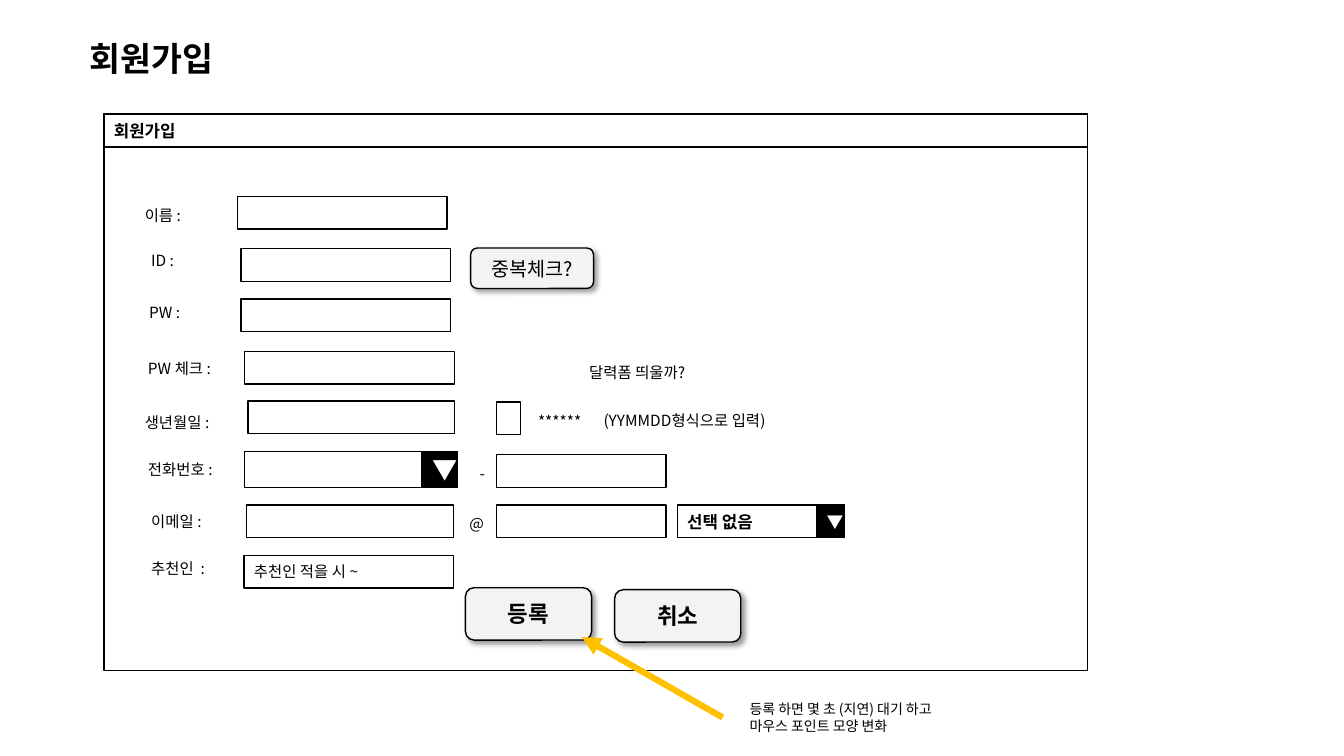
from lxml.etree import SubElement
from pptx import Presentation
from pptx.dml.color import RGBColor
from pptx.enum.shapes import MSO_CONNECTOR, MSO_SHAPE
from pptx.enum.text import MSO_ANCHOR, MSO_AUTO_SIZE, PP_ALIGN
from pptx.oxml.ns import qn
from pptx.util import Cm, Pt

FONT = "Noto Sans CJK KR"
COLORS = {"ink": "000000", "paper": "FFFFFF", "button": "F3F3F3", "arrow": "FFC000"}

# Content: lengths in cm
TITLE = "회원가입"
FIELD_H, LABEL_H, LABEL_W = 0.82, 0.74, 2.67
WINDOW = (2.62, 2.87, 24.79, 14.02)
HEADER_H = 0.84
LABELS = [  # text, left, top
    ("이름 :", 3.4, 5.08),
    ("ID :", 3.56, 6.2),
    ("PW :", 3.51, 7.52),
    ("PW 체크 :", 3.48, 8.92),
    ("생년월일 :", 3.4, 10.29),
    ("전화번호 :", 3.48, 11.46),
    ("이메일 :", 3.56, 12.78),
    ("추천인  :", 3.56, 13.97),
]
INPUTS = [  # text, left, top, width
    ("", 5.99, 4.95, 5.28),
    ("", 6.07, 6.27, 5.28),
    ("", 6.07, 7.54, 5.28),
    ("", 6.17, 8.86, 5.28),
    ("", 6.25, 10.11, 5.21),
    ("", 12.52, 10.13, 0.6),
    ("", 12.52, 11.46, 4.27),
    ("", 6.22, 12.73, 5.21),
    ("", 12.52, 12.73, 4.27),
    ("추천인 적을 시 ~", 6.15, 14.0, 5.28),
]
DROPDOWNS = [  # text, box, arrow cell width, arrow format
    ("", (6.17, 11.38, 5.36, 0.91), 0.89, {"size": 18}),
    ("선택 없음", (17.07, 12.73, 4.22, FIELD_H), 0.71, {"size": 12, "bold": True}),
]
HINTS = [  # text, left, top, width
    ("-", 11.84, 11.56, 0.84),
    ("@", 11.58, 12.83, 0.84),
    ("******", 13.31, 10.26, 1.65),
    ("(YYMMDD형식으로 입력)", 14.96, 10.24, 5.21),
    ("달력폼 띄울까?", 14.6, 9.02, 5.21),
]
BUTTONS = [  # text, box, format
    ("중복체크?", (11.86, 6.25, 3.1, 1.02), {"size": 14}),
    ("등록", (11.73, 14.81, 3.18, 1.32), {"size": 16, "bold": True}),
    ("취소", (15.49, 14.86, 3.18, 1.32), {"size": 16, "bold": True}),
]
NOTE = ["등록 하면 몇 초 (지연) 대기 하고", "마우스 포인트 모양 변화"]
NOTE_BOX = (18.64, 17.53, 5.92, 1.12)
ARROW = (18.21, 18.08, 14.66, 16.05)


def color(name):
    return RGBColor.from_string(COLORS[name])


def write(holder, *lines, size=11, bold=False, ink="ink", align=PP_ALIGN.LEFT,
          anchor=MSO_ANCHOR.TOP):
    frame = holder.text_frame
    frame.auto_size = MSO_AUTO_SIZE.NONE
    frame.word_wrap = True
    frame.vertical_anchor = anchor
    for number, line in enumerate(lines):
        paragraph = frame.add_paragraph() if number else frame.paragraphs[0]
        paragraph.alignment = align
        run = paragraph.add_run()
        run.text = line
        run.font.name = FONT
        run.font.size = Pt(size)
        run.font.bold = bold
        run.font.color.rgb = color(ink)
        SubElement(run.font._element, qn("a:ea"), typeface=FONT)


def add_box(shapes, box, text="", fill="paper", kind=MSO_SHAPE.RECTANGLE, **style):
    shape = shapes.add_shape(kind, *map(Cm, box))
    shape.shadow.inherit = False
    shape.fill.solid()
    shape.fill.fore_color.rgb = color(fill)
    shape.line.color.rgb = color("ink")
    shape.line.width = Pt(1)
    if text:
        write(shape, text, anchor=MSO_ANCHOR.MIDDLE, **style)
    return shape


def add_text(shapes, box, *lines, **style):
    write(shapes.add_textbox(*map(Cm, box)), *lines, **style)


def add_shadow(shape):
    effects = shape._element.spPr.find(qn("a:effectLst"))
    shadow = SubElement(effects, qn("a:outerShdw"), blurRad=str(Pt(4)), dist=str(Pt(3)),
                        dir=str(45 * 60000), algn="tl", rotWithShape="0")
    tint = SubElement(shadow, qn("a:srgbClr"), val=COLORS["ink"])
    SubElement(tint, qn("a:alpha"), val="40000")


def main():
    deck = Presentation()
    deck.slide_width, deck.slide_height = Cm(33.87), Cm(19.05)
    slide = deck.slides.add_slide(deck.slide_layouts[5])
    shapes = slide.shapes

    # Title
    title = shapes.title
    title.left, title.top, title.width, title.height = map(Cm, (2.01, 0.84, 9.3, 1.27))
    write(title, TITLE, size=24, bold=True)

    # Window with header bar
    window = shapes.add_group_shape().shapes
    add_box(window, WINDOW)
    add_box(window, (*WINDOW[:3], HEADER_H), TITLE, size=12, bold=True)

    # Form fields
    for text, left, top, width in INPUTS:
        add_box(shapes, (left, top, width, FIELD_H), text)
    for text, box, arrow_w, arrow_style in DROPDOWNS:
        left, top, width, height = box
        dropdown = shapes.add_group_shape().shapes
        add_box(dropdown, box, text, size=12, bold=True)
        add_box(dropdown, (left + width - arrow_w, top, arrow_w, height), "▼", fill="ink",
                ink="paper", align=PP_ALIGN.CENTER, **arrow_style)

    # Labels and hints
    for text, left, top in LABELS:
        add_text(shapes, (left, top, LABEL_W, LABEL_H), text)
    for text, left, top, width in HINTS:
        add_text(shapes, (left, top, width, LABEL_H), text)

    # Buttons
    for text, box, style in BUTTONS:
        button = add_box(shapes, box, text, fill="button", kind=MSO_SHAPE.ROUNDED_RECTANGLE,
                         align=PP_ALIGN.CENTER, **style)
        add_shadow(button)

    # Note with arrow to the register button
    arrow = shapes.add_connector(MSO_CONNECTOR.STRAIGHT, *map(Cm, ARROW))
    arrow.line.color.rgb = color("arrow")
    arrow.line.width = Pt(4.5)
    SubElement(arrow.line._get_or_add_ln(), qn("a:tailEnd"), type="triangle")
    SubElement(arrow._element.spPr, qn("a:effectLst"))
    add_text(shapes, NOTE_BOX, *NOTE, size=10)

    deck.save("out.pptx")


if __name__ == "__main__":
    main()
